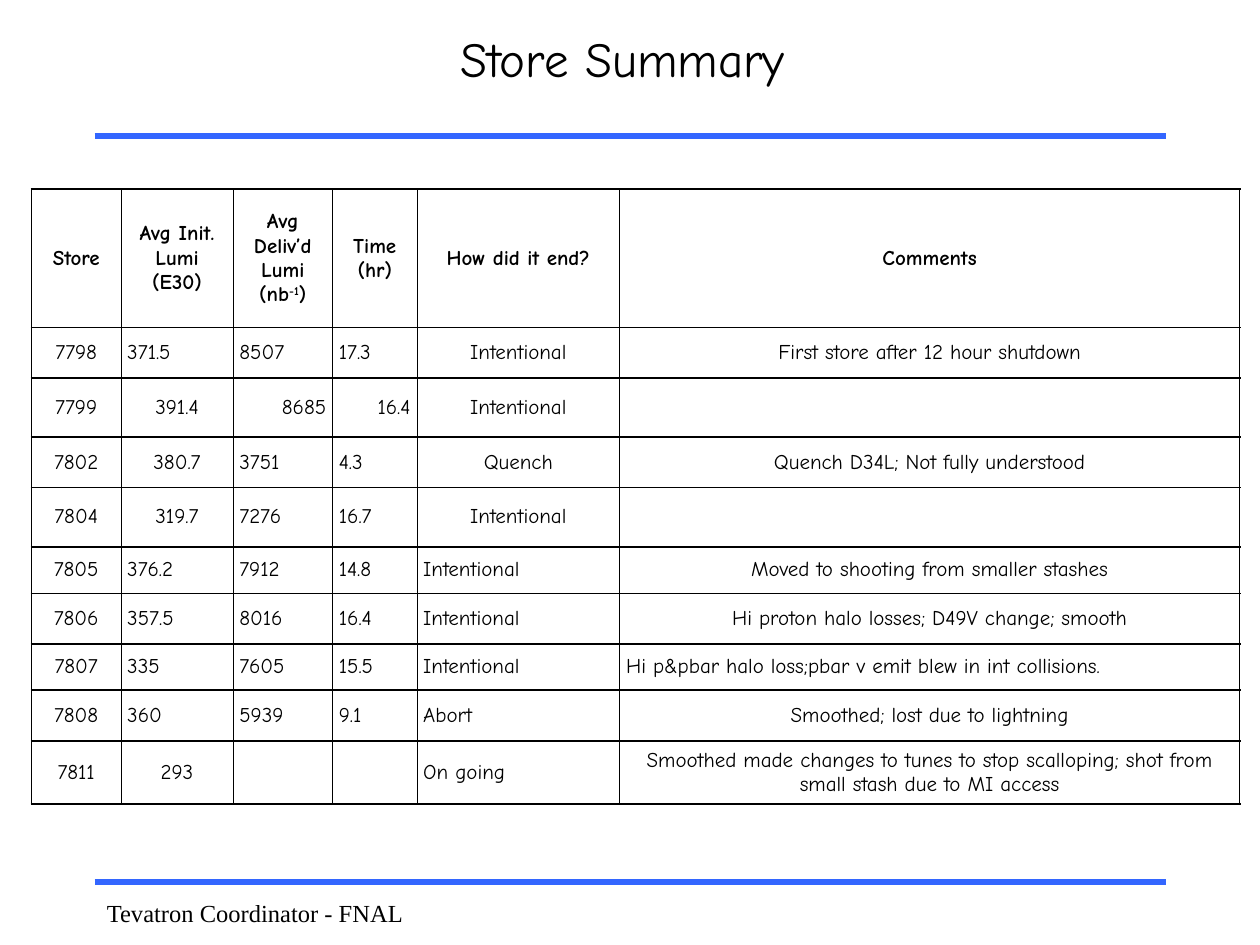
from lxml.etree import SubElement
from pptx import Presentation
from pptx.dml.color import RGBColor as Rgb
from pptx.enum.shapes import MSO_CONNECTOR as Connector
from pptx.enum.text import MSO_ANCHOR as Anchor, PP_ALIGN as Align
from pptx.oxml.ns import qn
from pptx.util import Inches, Pt

COLORS = {"ink": "000000", "rule": "3366FF"}
ALIGNMENTS = {"l": Align.LEFT, "c": Align.CENTER, "r": Align.RIGHT}
THIN, THICK = 0.45, 1.08

COLUMN_WIDTHS = [0.71, 0.89, 0.79, 0.67, 1.61, 4.92]
HEADINGS = ["Store", "Avg Init. Lumi (E30)", "Avg Deliv’d\nLumi\n(nb^-1^)",
            "Time (hr)", "How did it end?", "Comments"]
# Row height, alignment of each column, cell texts
STORES = [
    (0.4, "clllcc", ["7798", "371.5", "8507", "17.3", "Intentional",
                     "First store after 12 hour shutdown"]),
    (0.47, "ccrrcc", ["7799", "391.4", "8685", "16.4", "Intentional", ""]),
    (0.4, "ccllcc", ["7802", "380.7", "3751", "4.3", "Quench",
                     "Quench D34L; Not fully understood"]),
    (0.47, "ccllcc", ["7804", "319.7", "7276", "16.7", "Intentional", ""]),
    (0.37, "cllllc", ["7805", "376.2", "7912", "14.8", "Intentional",
                      "Moved to shooting from smaller stashes"]),
    (0.4, "cllllc", ["7806", "357.5", "8016", "16.4", "Intentional",
                     "Hi proton halo losses; D49V change; smooth"]),
    (0.37, "clllll", ["7807", "335", "7605", "15.5", "Intentional",
                      "Hi p&pbar halo loss;pbar v emit blew in int collisions."]),
    (0.4, "cllllc", ["7808", "360", "5939", "9.1", "Abort",
                     "Smoothed; lost due to lightning"]),
    (0.5, "cclllc", ["7811", "293", "", "", "On going",
                     "Smoothed made changes to tunes to stop scalloping; "
                     "shot from small stash due to MI access"]),
]


class SlideBuilder:
    body_font = "Comic Neue"
    footer_font = "Times New Roman"

    def __init__(self, slide):
        self.slide = slide

    def rule(self, y):
        line = self.slide.shapes.add_connector(
            Connector.STRAIGHT, Inches(0.75), Inches(y), Inches(9.25), Inches(y))
        line.line.color.rgb = Rgb.from_string(COLORS["rule"])
        line.line.width = Pt(3)
        SubElement(line._element.spPr, qn("a:effectLst"))

    def fill_frame(self, frame, text, size, align="l", bold=False, font=body_font):
        """Add one paragraph a line; text between carets is superscript."""
        frame.word_wrap = True
        for number, line in enumerate(text.split("\n")):
            paragraph = frame.add_paragraph() if number else frame.paragraphs[0]
            paragraph.alignment = ALIGNMENTS[align]
            paragraph.font.name = font
            paragraph.font.size = Pt(size)
            paragraph.font.bold = bold
            paragraph.font.color.rgb = Rgb.from_string(COLORS["ink"])
            for part, piece in enumerate(line.split("^")):
                if piece:
                    run = paragraph.add_run()
                    run.text = piece
                    if part % 2:
                        run._r.get_or_add_rPr().set("baseline", "30000")

    def text(self, left, top, width, height, text, size, anchor=Anchor.TOP, **style):
        box = self.slide.shapes.add_textbox(
            Inches(left), Inches(top), Inches(width), Inches(height))
        box.text_frame.vertical_anchor = anchor
        self.fill_frame(box.text_frame, text, size, **style)

    def borders(self, cell, left, right):
        properties = cell._tc.get_or_add_tcPr()
        for side, points in (("L", left), ("R", right), ("T", THICK), ("B", THICK)):
            border = SubElement(properties, qn(f"a:ln{side}"), w=str(int(Pt(points))))
            fill = SubElement(border, qn("a:solidFill"))
            SubElement(fill, qn("a:srgbClr"), val=COLORS["ink"])

    def table(self, left, top, widths, rows):
        table = self.slide.shapes.add_table(
            len(rows), len(widths), Inches(left), Inches(top),
            Inches(sum(widths)), Inches(sum(row[0] for row in rows))).table
        table.first_row = table.horz_banding = False
        for column, width in zip(table.columns, widths):
            column.width = Inches(width)
        for r, (height, alignments, texts) in enumerate(rows):
            table.rows[r].height = Inches(height)
            heading = r == 0
            for c, (align, text) in enumerate(zip(alignments, texts)):
                cell = table.cell(r, c)
                cell.vertical_anchor = Anchor.MIDDLE
                cell.margin_left = cell.margin_right = Inches(0.1 if heading else 0.05)
                cell.margin_top = cell.margin_bottom = Inches(0.05)
                self.borders(cell, THICK if c == 0 else THIN,
                             THICK if c == len(widths) - 1 else THIN)
                cell.fill.background()
                self.fill_frame(cell.text_frame, text, 12, align, bold=heading)


def main():
    deck = Presentation()
    deck.slide_width, deck.slide_height = Inches(10), Inches(7.5)
    builder = SlideBuilder(deck.slides.add_slide(deck.slide_layouts[6]))
    for y in (1.08, 7):
        builder.rule(y)
    builder.text(0.75, 7.08, 2.67, 0.25, "Tevatron Coordinator - FNAL", 14,
                 font=builder.footer_font)
    builder.text(1.17, 0.17, 7.67, 0.58, "Store Summary ", 28, Anchor.MIDDLE, align="c")
    builder.table(0.25, 1.5, COLUMN_WIDTHS, [(1.1, "cccccc", HEADINGS), *STORES])
    deck.save("out.pptx")


if __name__ == "__main__":
    main()
